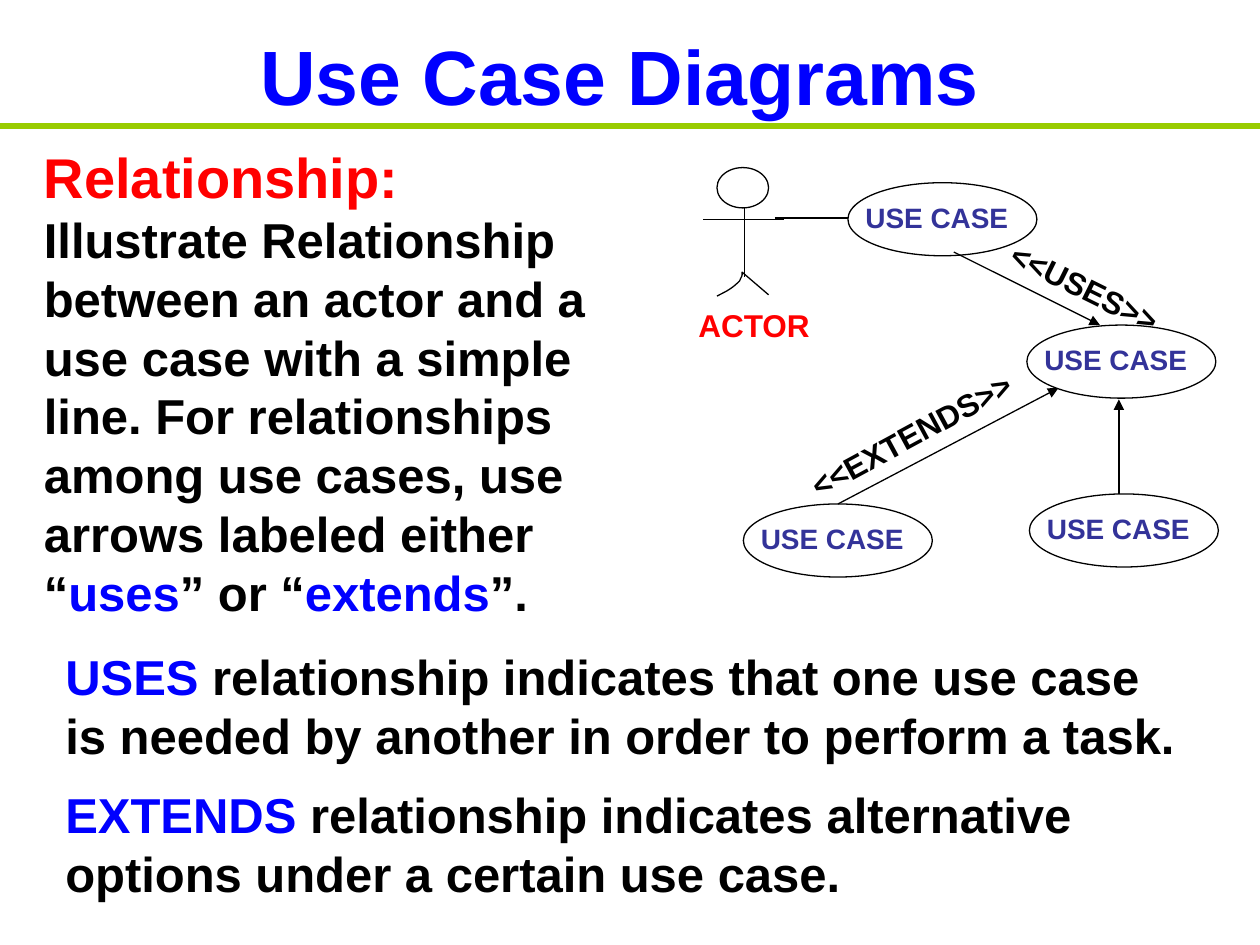
from lxml import etree
from pptx import Presentation
from pptx.dml.color import RGBColor
from pptx.enum import shapes as kinds, text as txt
from pptx.oxml.ns import qn
from pptx.util import Inches, Pt

BLUE = RGBColor(0x00, 0x00, 0xFF)
RED = RGBColor(0xFF, 0x00, 0x00)
INDIGO = RGBColor(0x33, 0x33, 0x99)
GREEN = RGBColor(0x99, 0xCC, 0x00)
BLACK = RGBColor(0x00, 0x00, 0x00)
CENTER = txt.PP_ALIGN.CENTER
LEFT = txt.PP_ALIGN.LEFT


def add_text(shapes, box, paragraphs, align=LEFT, gap=0, rotation=0):
    """Write paragraphs, each a size and a list of (words, colour) runs."""
    holder = shapes.add_textbox(*map(Inches, box))
    holder.rotation = rotation
    frame = holder.text_frame
    frame.word_wrap = True
    for index, (size, runs) in enumerate(paragraphs):
        paragraph = frame.add_paragraph() if index else frame.paragraphs[0]
        paragraph.alignment = align
        if index:
            paragraph.space_before = Pt(gap)
        for words, color in runs:
            run = paragraph.add_run()
            run.text = words
            run.font.name = "Arial"
            run.font.size = Pt(size)
            run.font.bold = True
            run.font.color.rgb = color
    return holder


def add_label(shapes, box, words, size, color, rotation=0):
    """Write one centred line of text."""
    return add_text(shapes, box, [(size, [(words, color)])], CENTER, rotation=rotation)


def add_line(shapes, start, end, color=BLACK, width=0.75, arrow=False):
    """Draw a straight line, with an arrowhead at its end if asked."""
    line = shapes.add_connector(kinds.MSO_CONNECTOR.STRAIGHT, *map(Inches, start + end))
    line.line.color.rgb = color
    line.line.width = Pt(width)
    if arrow:
        etree.SubElement(line.line._get_or_add_ln(), qn("a:tailEnd"), type="triangle")
    etree.SubElement(line._element.spPr, qn("a:effectLst"))
    return line


def outline(shape):
    """Leave a shape with only a thin black outline."""
    shape.shadow.inherit = False
    shape.fill.background()
    shape.line.color.rgb = BLACK
    shape.line.width = Pt(0.75)
    return shape


def add_ellipse(shapes, *box):
    """Draw an outlined ellipse."""
    return outline(shapes.add_shape(kinds.MSO_SHAPE.OVAL, *map(Inches, box)))


def add_use_case(shapes, left, top):
    """Draw a use case ellipse with its caption."""
    use_case = add_ellipse(shapes, left, top, 1.5, 0.58)
    add_label(shapes, (left, top + 0.09, 1.41, 0.37), "USE CASE", 16, INDIGO)
    return use_case


def curve_points(a, b, c, d, steps=8):
    """Return points along a cubic curve, without its start."""
    return [
        tuple(
            Inches((1 - t) ** 3 * p + 3 * (1 - t) ** 2 * t * q + 3 * (1 - t) * t**2 * r + t**3 * s)
            for p, q, r, s in zip(a, b, c, d)
        )
        for t in (step / steps for step in range(1, steps + 1))
    ]


def add_actor(shapes):
    """Draw the stick figure and its name as one group."""
    actor = shapes.add_group_shape().shapes
    add_ellipse(actor, 5.69, 1.33, 0.41, 0.32)
    add_line(actor, (5.91, 1.65), (5.91, 2.2))
    add_line(actor, (5.58, 1.74), (6.22, 1.74))
    foot, knee, hip = (5.69, 2.35), (5.87, 2.23), (5.89, 2.16)
    legs = actor.build_freeform(Inches(foot[0]), Inches(foot[1]))
    legs.add_line_segments(
        curve_points(foot, (5.77, 2.31), (5.81, 2.29), knee)
        + curve_points(knee, (5.89, 2.18), (5.89, 2.2), hip)
        + [(Inches(6.1), Inches(2.34))],
        close=False,
    )
    outline(legs.convert_to_shape())
    add_label(actor, (5.4, 2.38, 1.17, 0.4), "ACTOR", 18, RED)


def add_diagram(shapes):
    """Draw the actor, the use cases and their relationships."""
    add_actor(shapes)
    for left, top in ((6.73, 1.45), (8.15, 2.58), (8.17, 3.92)):
        add_use_case(shapes, left, top)
    extending = add_use_case(shapes, 5.9, 4)
    add_line(shapes, (6.15, 1.73), (6.73, 1.73))
    add_line(shapes, (7.57, 2), (8.73, 2.58), arrow=True)
    add_label(shapes, (7.65, 2.08, 1.92, 0.4), "<<USES>>", 18, BLACK, 26.4)
    extends = add_line(shapes, (6.65, 4), (8.4, 3.08), arrow=True)
    extends.begin_connect(extending, 0)
    add_label(shapes, (6.23, 3.25, 2, 0.4), "<<EXTENDS>>", 18, BLACK, 331.6)
    add_line(shapes, (8.88, 3.92), (8.88, 3.17), arrow=True)


def main():
    """Build the slide and save it."""
    deck = Presentation()
    deck.slide_width, deck.slide_height = Inches(10), Inches(7.5)
    shapes = deck.slides.add_slide(deck.slide_layouts[6]).shapes

    title = add_label(shapes, (0.67, 0.17, 8.5, 0.85), "Use Case Diagrams", 44, BLUE)
    title.text_frame.vertical_anchor = txt.MSO_ANCHOR.MIDDLE
    add_line(shapes, (0, 1), (10, 1), GREEN, 3)
    add_diagram(shapes)

    add_text(shapes, (0.25, 1.08, 5.25, 3.9), [
        (32, [("Relationship:", RED)]),
        (28, [
            ("Illustrate Relationship between an actor and a use case with a simple line. "
             "For relationships among use cases, use arrows labeled either “", BLACK),
            ("uses", BLUE),
            ("” or “", BLACK),
            ("extends", BLUE),
            ("”.", BLACK),
        ]),
    ])
    add_text(shapes, (0.42, 5.08, 9.08, 2.14), [
        (28, [("USES", BLUE),
              (" relationship indicates that one use case is needed by another "
               "in order to perform a task.", BLACK)]),
        (28, [("EXTENDS ", BLUE),
              ("relationship indicates alternative options under a certain use case.", BLACK)]),
    ], gap=12)
    deck.save("out.pptx")


if __name__ == "__main__":
    main()
